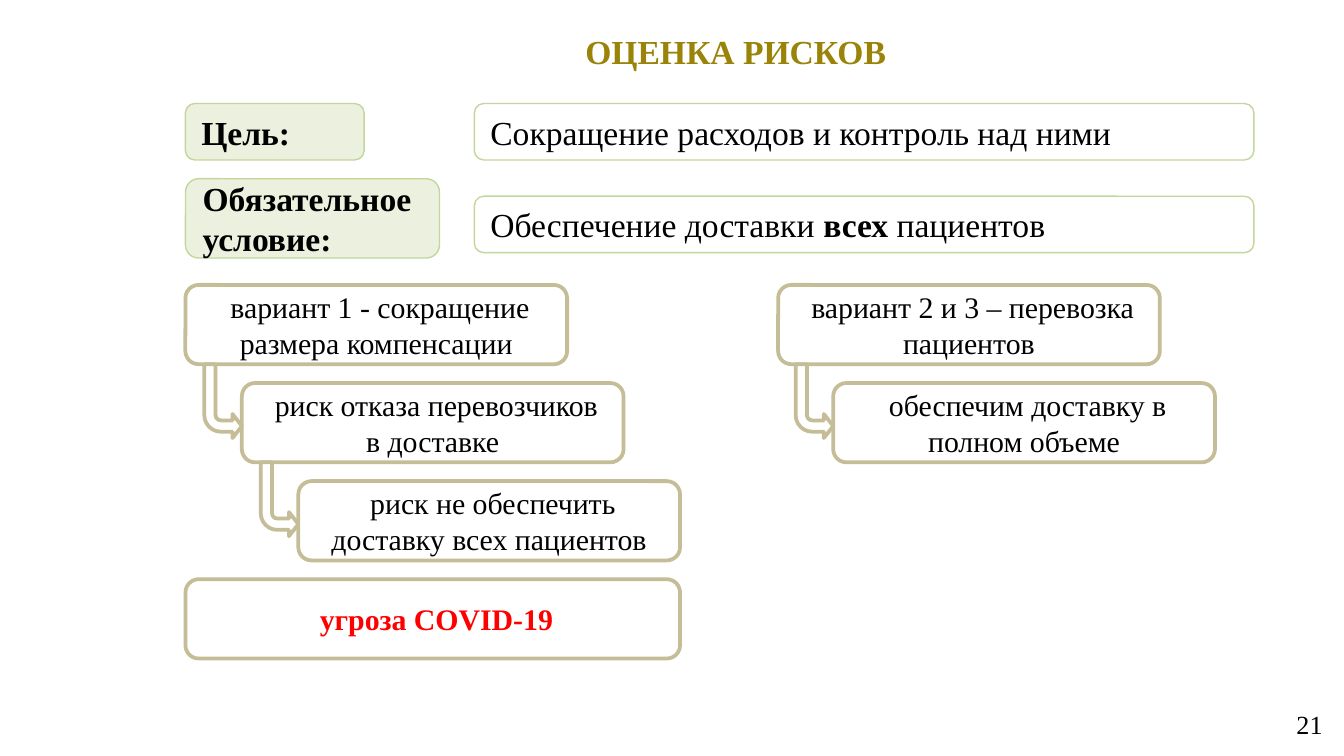
from pptx import Presentation
from pptx.dml.color import RGBColor
from pptx.enum.shapes import MSO_SHAPE
from pptx.enum.text import MSO_ANCHOR, MSO_AUTO_SIZE, PP_ALIGN
from pptx.util import Inches, Pt

ROUND, BENT = MSO_SHAPE.ROUNDED_RECTANGLE, MSO_SHAPE.BENT_ARROW
TOP, MIDDLE = MSO_ANCHOR.TOP, MSO_ANCHOR.MIDDLE
LEFT, CENTER, RIGHT = PP_ALIGN.LEFT, PP_ALIGN.CENTER, PP_ALIGN.RIGHT
FIXED = MSO_AUTO_SIZE.NONE
FONT = "Times New Roman"
BLACK = RGBColor(0, 0, 0)
WHITE = RGBColor(0xFF, 0xFF, 0xFF)
RED = RGBColor(0xFF, 0, 0)
OLIVE = RGBColor(0x99, 0x83, 0x08)
PALE = RGBColor(0xEB, 0xF1, 0xDE)
GREEN = RGBColor(0xC3, 0xD6, 0x9B)
TAN = RGBColor(0xC4, 0xBD, 0x97)
STEP_H = 0.59


def write(shape, runs, size, align, color=BLACK, anchor=MIDDLE):
    """Fill a shape with one paragraph of (text, bold) runs."""
    frame = shape.text_frame
    frame.word_wrap = True
    frame.auto_size = FIXED
    frame.vertical_anchor = anchor
    para = frame.paragraphs[0]
    para.alignment = align
    for text, bold in runs:
        run = para.add_run()
        run.text = text
        font = run.font
        font.name, font.size, font.bold = FONT, Pt(size), bold
        font.color.rgb = color


def draw(slide, kind, box, fill, line, width):
    shape = slide.shapes.add_shape(kind, *map(Inches, box))
    shape.shadow.inherit = False
    if fill is None:
        shape.fill.background()
    else:
        shape.fill.solid()
        shape.fill.fore_color.rgb = fill
    shape.line.color.rgb = line
    shape.line.width = Pt(width)
    return shape


def add_title(slide, box, text):
    title = slide.shapes.title
    title.left, title.top, title.width, title.height = map(Inches, box)
    write(title, [(text, True)], 18, CENTER, OLIVE, TOP)


def add_goal(slide, box, fill, runs):
    write(draw(slide, ROUND, box, fill, GREEN, 0.75), runs, 18, LEFT)


def add_step(slide, left, top, width, text, color=BLACK, bold=False):
    shape = draw(slide, ROUND, (left, top, width, STEP_H), WHITE, TAN, 2)
    write(shape, [(text, bold)], 16, CENTER, color)


def add_arrow(slide, left, top):
    arrow = draw(slide, BENT, (left, top, 0.28, 0.55), WHITE, TAN, 2)
    for i, value in enumerate((0.3, 0.32, 0.25, 0.44)):
        arrow.adjustments[i] = value
    arrow._element.spPr.xfrm.set("flipV", "1")


def add_chain(slide, left, top, dx, texts):
    """Staircase of steps, each joined to the next by a bent arrow."""
    dy = 0.73
    for i, text in enumerate(texts):
        x, y = left + i * dx, top + i * dy
        add_step(slide, x, y, 2.84, text)
        if i:
            add_arrow(slide, x - 0.28, y - 0.14)


def add_number(slide, box, text):
    number = slide.shapes.add_textbox(*map(Inches, box))
    write(number, [(text, False)], 14, RIGHT)


# Widescreen page, 16 to 9
prs = Presentation()
prs.slide_width = Inches(10)
prs.slide_height = Inches(10 * 9 / 16)
slide = prs.slides.add_slide(prs.slide_layouts[5])

# Heading and page number
add_title(slide, (1.3, 0.18, 8.35, 0.4), "ОЦЕНКА РИСКОВ")
add_number(slide, (7.61, 5.24, 2.33, 0.3), "21")

# Goal and condition
add_goal(slide, (1.38, 0.77, 1.33, 0.42), PALE, [("Цель:", True)])
add_goal(slide, (3.53, 0.77, 5.8, 0.42), None,
         [("Сокращение расходов и контроль над ними", False)])
add_goal(slide, (1.38, 1.33, 1.89, 0.59), PALE,
         [("Обязательное условие:", True)])
add_goal(slide, (3.53, 1.46, 5.8, 0.42), None,
         [("Обеспечение доставки ", False), ("всех", True),
          (" пациентов", False)])

# Options and their outcomes
add_chain(slide, 1.38, 2.12, 0.42, [
    " вариант 1 - сокращение размера компенсации",
    " риск отказа перевозчиков в доставке",
    " риск не обеспечить доставку всех пациентов"])
add_chain(slide, 5.79, 2.12, 0.41, [
    " вариант 2 и 3 – перевозка пациентов",
    " обеспечим доставку в полном объеме"])

# Final threat
add_step(slide, 1.38, 4.31, 3.68, " угроза COVID-19", RED, True)

prs.save("out.pptx")
